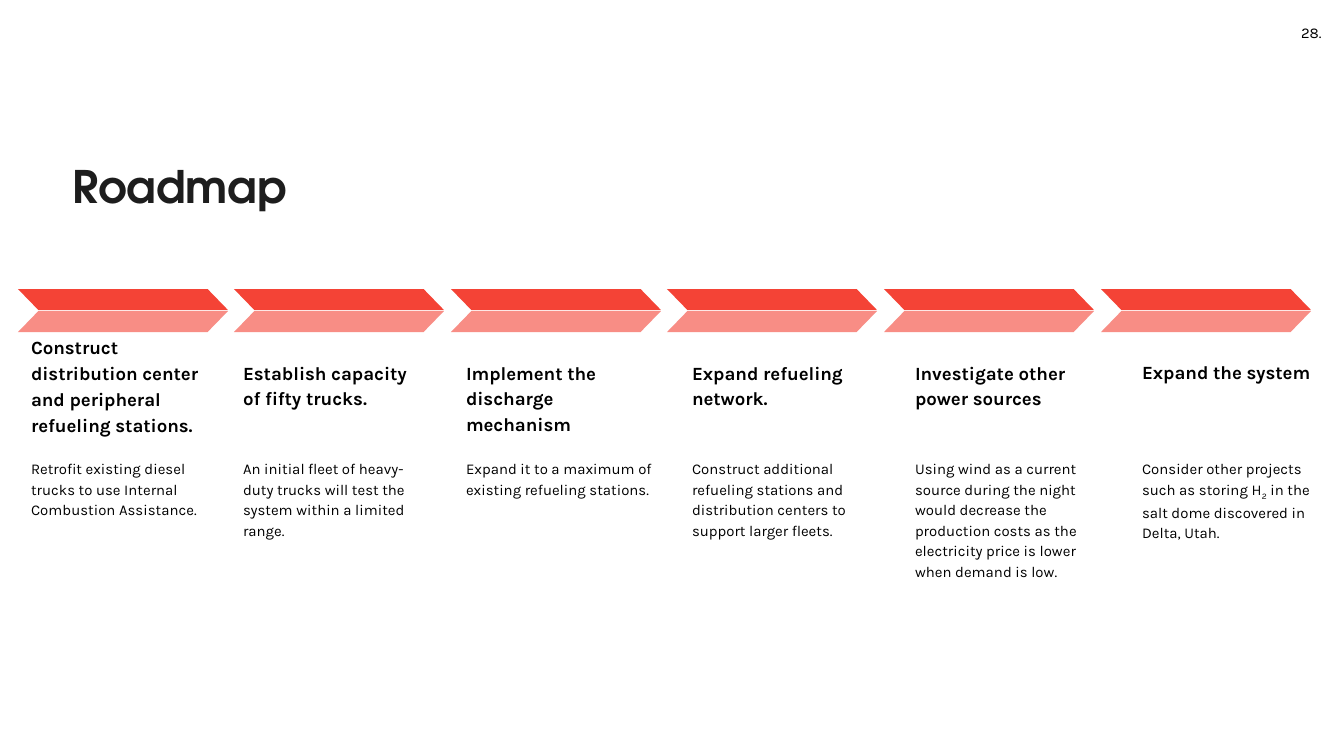
import pptx
import pptx.dml.color
import pptx.enum.shapes
import pptx.enum.text
import pptx.util

RED = pptx.dml.color.RGBColor(0xF4, 0x43, 0x36)
PINK = pptx.dml.color.RGBColor(0xF8, 0x8D, 0x85)
INK = pptx.dml.color.RGBColor(0x1D, 0x1D, 0x1D)
BLACK = pptx.dml.color.RGBColor(0x00, 0x00, 0x00)

BODY_FONT = "Karla"
TITLE_FONT = "TeX Gyre Adventor"
ANCHOR = pptx.enum.text.MSO_ANCHOR
INSET = 13
CHEVRON_W = 210

# Text left edge, heading, body runs as (text, is_subscript)
STEPS = [
    (18, "Construct distribution center and peripheral refueling stations.",
     [("Retrofit existing diesel trucks to use Internal Combustion Assistance.", False)]),
    (230, "Establish capacity of fifty trucks.",
     [("An initial fleet of heavy-duty trucks will test the system within a limited range.", False)]),
    (453, "Implement the discharge mechanism",
     [("Expand it to a maximum of existing refueling stations.", False)]),
    (679, "Expand refueling network.",
     [("Construct additional refueling stations and distribution centers "
       "to support larger fleets.", False)]),
    (902, "Investigate other power sources",
     [("Using wind as a current source during the night would decrease the production "
       "costs as the electricity price is lower when demand is low.", False)]),
    (1129, "Expand the system",
     [("Consider other projects such as storing H", False), ("2", True),
      (" in the salt dome discovered in Delta, Utah.", False)]),
]


def px(n):
    return pptx.util.Emu(round(n * 914400 / 134.4))


def add_text(s, box, runs, size, font=BODY_FONT, color=BLACK, bold=False,
             anchor=ANCHOR.TOP, spacing=None):
    tf = s.shapes.add_textbox(*map(px, box)).text_frame
    tf.word_wrap = True
    tf.vertical_anchor = anchor
    tf.margin_left = tf.margin_right = tf.margin_top = tf.margin_bottom = px(INSET)
    p = tf.paragraphs[0]
    if spacing:
        p.line_spacing = spacing
    for text, subscript in runs:
        r = p.add_run()
        r.text = text
        r.font.name = font
        r.font.size = pptx.util.Pt(size)
        r.font.bold = bold
        r.font.color.rgb = color
        if subscript:
            r._r.get_or_add_rPr().set("baseline", "-25000")


def add_half(s, left, top, color, flipped):
    sp = s.shapes.add_shape(pptx.enum.shapes.MSO_SHAPE.PARALLELOGRAM,
                            px(left), px(top), px(CHEVRON_W), px(21))
    sp.adjustments[0] = 0.97
    sp.shadow.inherit = False
    sp.fill.solid()
    sp.fill.fore_color.rgb = color
    sp.line.fill.background()
    if flipped:
        sp._element.spPr.xfrm.set("flipH", "1")


def add_chevron(s, left):
    add_half(s, left, 289, RED, True)
    add_half(s, left, 311, PINK, False)


def add_step(s, left, heading, body, anchor):
    add_text(s, (left, 345, CHEVRON_W, 104), [(heading, False)], 10,
             bold=True, anchor=anchor, spacing=1.15)
    add_text(s, (left, 444, 215, 109), body, 8, spacing=1.15)


def main():
    prs = pptx.Presentation()
    prs.slide_width, prs.slide_height = px(1344), px(756)
    s = prs.slides.add_slide(prs.slide_layouts[6])

    # Title and page number
    add_text(s, (59, 146, 364, 85), [("Roadmap", False)], 24,
             font=TITLE_FONT, color=INK, bold=True)
    add_text(s, (1288, 21, 50, 24), [("28.", False)], 8, anchor=ANCHOR.MIDDLE)

    # Evenly spaced chevrons, with a heading and description under each
    for i, (left, heading, body) in enumerate(STEPS):
        add_chevron(s, 18 + i * 1083 // 5)
        add_step(s, left, heading, body, ANCHOR.TOP if i else ANCHOR.BOTTOM)

    prs.save("out.pptx")


if __name__ == "__main__":
    main()
